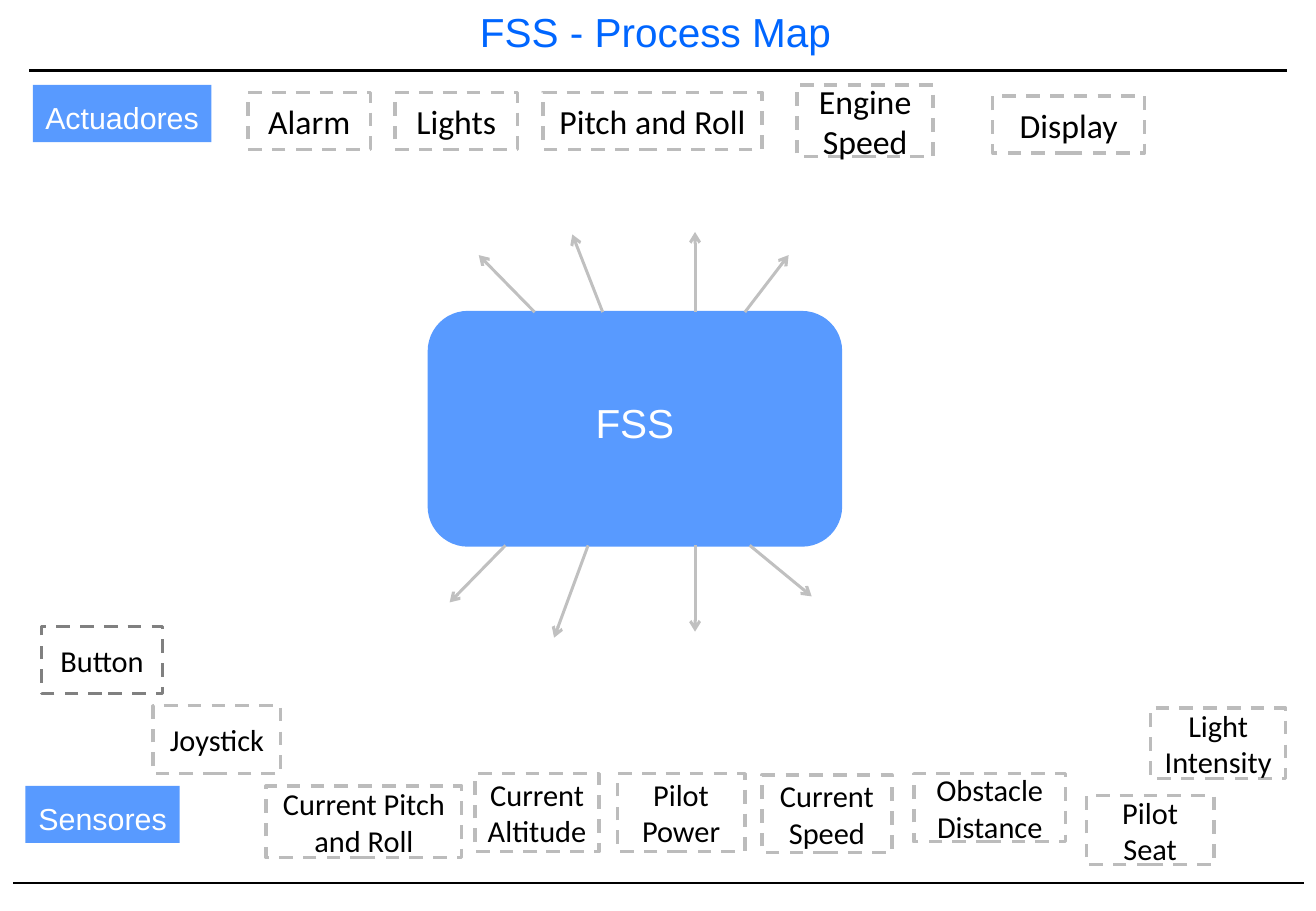
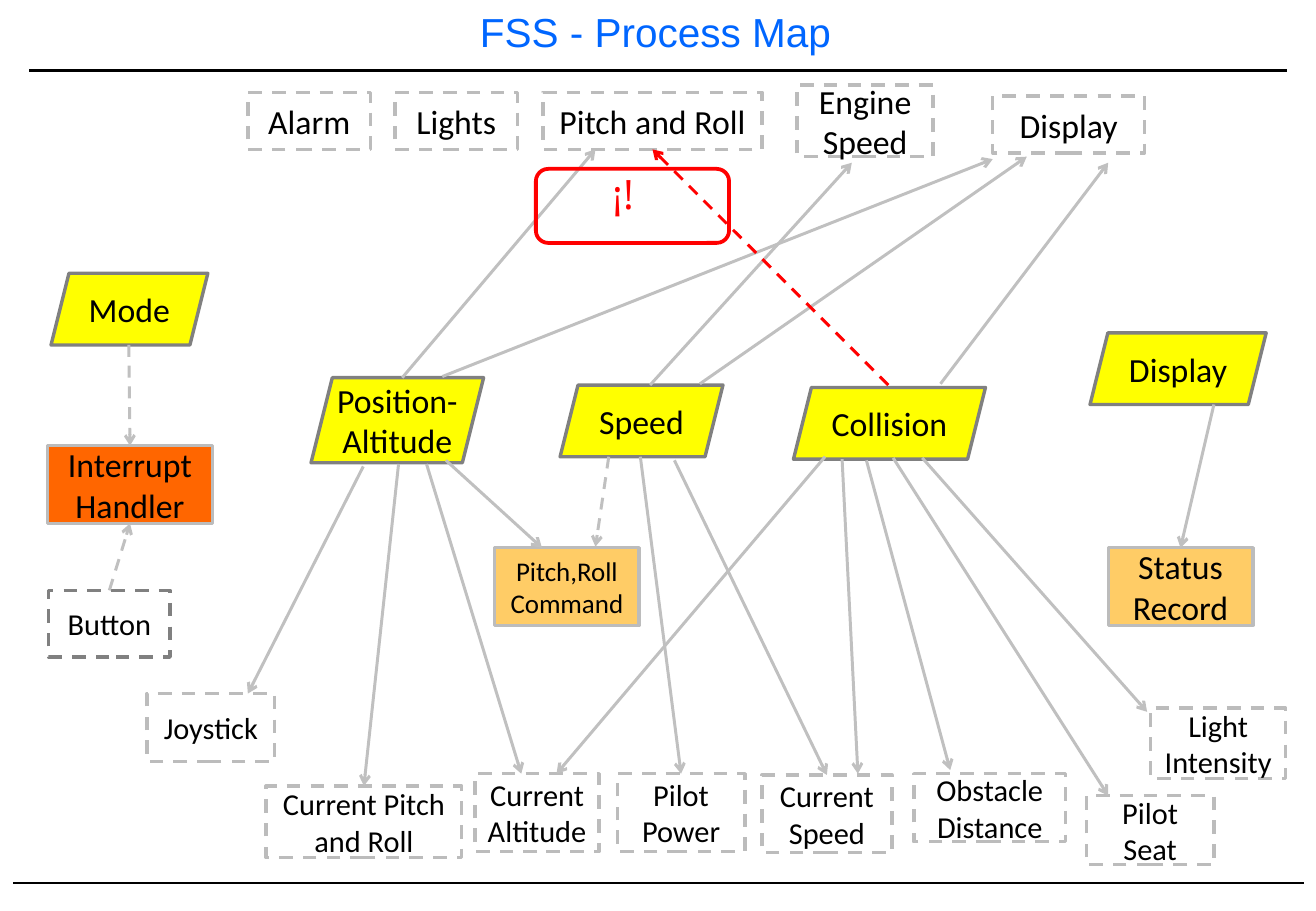
from lxml import etree
from pptx import Presentation
from pptx.dml.color import RGBColor
from pptx.enum import dml, shapes, text
from pptx.oxml import ns
from pptx.util import Inches, Pt

# Palette
BLACK = RGBColor(0x00, 0x00, 0x00)
WHITE = RGBColor(0xFF, 0xFF, 0xFF)
TITLE_BLUE = RGBColor(0x00, 0x66, 0xFF)
BLUE = RGBColor(0x58, 0x9A, 0xFF)
BORDER = RGBColor(0xBC, 0xBC, 0xBC)
ARROW = RGBColor(0xC0, 0xC0, 0xC0)
DARK_GRAY = RGBColor(0x80, 0x80, 0x80)
YELLOW = RGBColor(0xFF, 0xFF, 0x00)
ORANGE = RGBColor(0xFF, 0x66, 0x00)
SAND = RGBColor(0xFF, 0xCC, 0x66)
RED = RGBColor(0xFF, 0x00, 0x00)

RECTANGLE = shapes.MSO_SHAPE.RECTANGLE
ROUNDED = shapes.MSO_SHAPE.ROUNDED_RECTANGLE
PARALLELOGRAM = shapes.MSO_SHAPE.PARALLELOGRAM

# Content; boxes are (label, (left, top, width, height)) in inches
TITLE = "FSS - Process Map"
ACTUATORS = [
    ("Alarm", (2.04, 0.76, 1.01, 0.47)),
    ("Lights", (3.25, 0.76, 1.01, 0.47)),
    ("Pitch and Roll", (4.47, 0.76, 1.8, 0.47)),
    ("Engine\nSpeed", (6.56, 0.7, 1.12, 0.59)),
    ("Display", (8.17, 0.79, 1.25, 0.47)),
]
SENSORS = [
    ("Current Pitch and Roll", (2.19, 6.47, 1.61, 0.59)),
    ("Current Altitude", (3.91, 6.37, 1.02, 0.64)),
    ("Pilot Power", (5.08, 6.37, 1.05, 0.64)),
    ("Current Speed", (6.27, 6.38, 1.07, 0.64)),
    ("Obstacle\nDistance", (7.52, 6.37, 1.25, 0.56)),
    ("Pilot Seat", (8.94, 6.55, 1.05, 0.57)),
    ("Light Intensity", (9.47, 5.83, 1.11, 0.58)),
]
GROUP_LABELS = [
    ("Actuadores", (0.27, 0.7, 1.47, 0.47)),
    ("Sensores", (0.21, 6.47, 1.27, 0.47)),
]
SYSTEM = ("FSS", (3.53, 2.57, 3.39, 1.92))
PROCESSES = [
    ("Mode", (0.42, 2.25, 1.29, 0.59)),
    ("Position-Altitude", (2.56, 3.11, 1.42, 0.7)),
    ("Speed", (4.61, 3.17, 1.34, 0.59)),
    ("Collision", (6.53, 3.19, 1.58, 0.59)),
    ("Display", (8.97, 2.74, 1.45, 0.59)),
]
# (label, box, fill, text size)
RESOURCES = [
    ("Interrupt Handler", (0.39, 3.67, 1.36, 0.64), ORANGE, 20),
    ("Pitch,Roll\nCommand", (4.07, 4.51, 1.19, 0.64), SAND, 16),
    ("Status Record", (9.12, 4.51, 1.19, 0.64), SAND, 20),
]

# Arrows as (start, end)
SYSTEM_TOP, SYSTEM_BOTTOM = 2.57, 4.49
SYSTEM_ARROWS = [((x, SYSTEM_TOP), end) for x, end in [
    (4.4, (3.94, 2.1)), (4.96, (4.71, 1.93)),
    (5.72, (5.72, 1.91)), (6.13, (6.49, 2.1)),
]] + [((x, SYSTEM_BOTTOM), end) for x, end in [
    (4.16, (3.7, 4.96)), (4.84, (4.56, 5.25)),
    (5.72, (5.72, 5.2)), (6.17, (6.68, 4.91)),
]]
PROCESS_ARROWS = {
    "Position-Altitude": [
        ((3.31, 3.11), (4.9, 1.23)), ((3.64, 3.1), (8.17, 1.31)),
        ((2.99, 3.84), (2.04, 5.71)), ((3.28, 3.82), (3, 6.47)),
        ((3.51, 3.82), (4.29, 6.37)), ((3.67, 3.79), (4.46, 4.51)),
    ],
    "Speed": [
        ((5.35, 3.17), (7.01, 1.34)), ((5.76, 3.16), (8.45, 1.29)),
        ((5.27, 3.76), (5.6, 6.37)), ((5.55, 3.79), (6.81, 6.38)),
    ],
    "Collision": [
        ((7.74, 3.16), (9.12, 1.34)), ((6.79, 3.76), (4.58, 6.37)),
        ((6.93, 3.78), (7.06, 6.37)), ((7.13, 3.79), (7.82, 6.34)),
        ((7.35, 3.77), (9.12, 6.55)), ((7.59, 3.77), (9.44, 5.86)),
    ],
    "Display": [((9.99, 3.33), (9.73, 4.5))],
}
DASHED_ARROWS = [
    ((1.06, 2.84), (1.07, 3.67)),
    ((0.9, 4.86), (1.07, 4.32)),
    ((5.01, 3.76), (4.9, 4.5)),
]
CONFLICT_ARROW = ((7.31, 3.17), (5.37, 1.23))
SNAP = Inches(0.03)


def style_text(frame, size, color, font="Calibri", align=text.PP_ALIGN.CENTER):
    for paragraph in frame.paragraphs:
        paragraph.alignment = align
        paragraph.font.size = Pt(size)
        paragraph.font.name = font
        paragraph.font.color.rgb = color


def add_box(slide, label, box, kind=RECTANGLE, fill=None, line=BORDER, width=2,
            dash=False, size=20, color=BLACK, font="Calibri"):
    shape = slide.shapes.add_shape(kind, *map(Inches, box))
    shape.shadow.inherit = False
    if fill is None:
        shape.fill.background()
    else:
        shape.fill.solid()
        shape.fill.fore_color.rgb = fill
    if line is None:
        shape.line.fill.background()
    else:
        shape.line.color.rgb = line
        shape.line.width = Pt(width)
    if dash:
        shape.line.dash_style = dml.MSO_LINE.DASH
    frame = shape.text_frame
    frame.word_wrap = True
    frame.vertical_anchor = text.MSO_ANCHOR.MIDDLE
    if label:
        frame.text = label
        style_text(frame, size, color, font)
    return shape


def add_line(slide, start, end, color=BLACK, width=1.0):
    line = slide.shapes.add_connector(
        shapes.MSO_CONNECTOR.STRAIGHT, *map(Inches, (*start, *end)))
    line.line.color.rgb = color
    line.line.width = Pt(width)
    etree.SubElement(line.element.spPr, ns.qn("a:effectLst"))
    return line


def side_middle(point, boxes):
    """Find the box and side whose middle lies at the point."""
    x, y = map(Inches, point)
    for box in boxes:
        center_x, center_y = box.left + box.width // 2, box.top + box.height // 2
        sites = [(center_x, box.top), (box.left, center_y),
                 (center_x, box.top + box.height), (box.left + box.width, center_y)]
        for side, (site_x, site_y) in enumerate(sites):
            if abs(site_x - x) <= SNAP and abs(site_y - y) <= SNAP:
                return box, side
    return None


def add_arrow(slide, start, end, boxes=(), color=ARROW, dash=False):
    arrow = add_line(slide, start, end, color, 1.75)
    if dash:
        arrow.line.dash_style = dml.MSO_LINE.DASH
    outline = arrow.element.spPr.find(ns.qn("a:ln"))
    etree.SubElement(outline, ns.qn("a:tailEnd"), type="arrow")
    for point, connect in ((start, arrow.begin_connect), (end, arrow.end_connect)):
        site = side_middle(point, boxes)
        if site:
            connect(*site)


def add_map_slide(presentation, layout, joystick, button):
    """Add the title and the devices; return the slide and its boxes."""
    slide = presentation.slides.add_slide(layout)
    frame = slide.shapes.title.text_frame
    frame.text = TITLE
    frame.auto_size = text.MSO_AUTO_SIZE.NONE
    frame.vertical_anchor = text.MSO_ANCHOR.MIDDLE
    style_text(frame, 24, TITLE_BLUE, "Arial")
    boxes = [add_box(slide, label, box, dash=True) for label, box in ACTUATORS]
    boxes += [add_box(slide, label, box, dash=True, size=18)
              for label, box in SENSORS + [("Joystick", (*joystick, 1.05, 0.56))]]
    boxes.append(add_box(slide, "Button", (*button, 1, 0.55),
                         line=DARK_GRAY, dash=True, size=18))
    return slide, boxes


def build_overview(presentation, layout):
    slide, boxes = add_map_slide(presentation, layout, (1.26, 5.81), (0.34, 5.16))
    for label, box in GROUP_LABELS:
        shape = add_box(slide, label, box, fill=BLUE, line=None, size=18,
                        color=WHITE, font="Arial")
        shape.text_frame.margin_top = Inches(0.12)
    label, box = SYSTEM
    system = add_box(slide, label, box, ROUNDED, BLUE, BLUE, 1.5,
                     size=24, color=WHITE, font="Arial")
    system.text_frame.margin_bottom = Inches(0.15)
    for start, end in SYSTEM_ARROWS:
        add_arrow(slide, start, end, boxes)


def build_processes(presentation, layout):
    slide, boxes = add_map_slide(presentation, layout, (1.21, 5.71), (0.4, 4.86))
    for label, box in PROCESSES:
        frame = add_box(slide, label, box, PARALLELOGRAM, YELLOW, DARK_GRAY).text_frame
        frame.margin_left = frame.margin_right = 0
        frame.margin_top = frame.margin_bottom = 0
    boxes += [add_box(slide, label, box, fill=fill, size=size)
              for label, box, fill, size in RESOURCES]
    for arrows in PROCESS_ARROWS.values():
        for start, end in arrows:
            add_arrow(slide, start, end, boxes)
    for start, end in DASHED_ARROWS:
        add_arrow(slide, start, end, boxes, dash=True)

    # Conflict warning
    add_arrow(slide, *CONFLICT_ARROW, boxes, RED, dash=True)
    add_box(slide, "", (4.41, 1.39, 1.59, 0.61), ROUNDED, line=RED, width=2.25)
    frame = slide.shapes.add_textbox(*map(Inches, (4.94, 1.34, 0.44, 0.5))).text_frame
    frame.word_wrap = False
    frame.text = "¡!"
    style_text(frame, 24, RED, "Open Sans", text.PP_ALIGN.LEFT)


def main():
    presentation = Presentation()
    presentation.slide_width, presentation.slide_height = Inches(10.83), Inches(7.5)
    layout = presentation.slide_layouts[5]
    title = layout.placeholders[0]
    title.left, title.top, title.width, title.height = map(
        Inches, (3.4, 0.05, 3.99, 0.42))

    build_overview(presentation, layout)
    build_processes(presentation, layout)

    # Header and footer rules, moved to the master
    first_slide = presentation.slides[0]
    for left, right, y, width in ((0.11, 10.73, 7.27, 1), (0.24, 10.59, 0.58, 1.5)):
        rule = add_line(first_slide, (left, y), (right, y), width=width)
        presentation.slide_master.shapes.element.append(rule.element)

    presentation.save("out.pptx")


if __name__ == "__main__":
    main()
